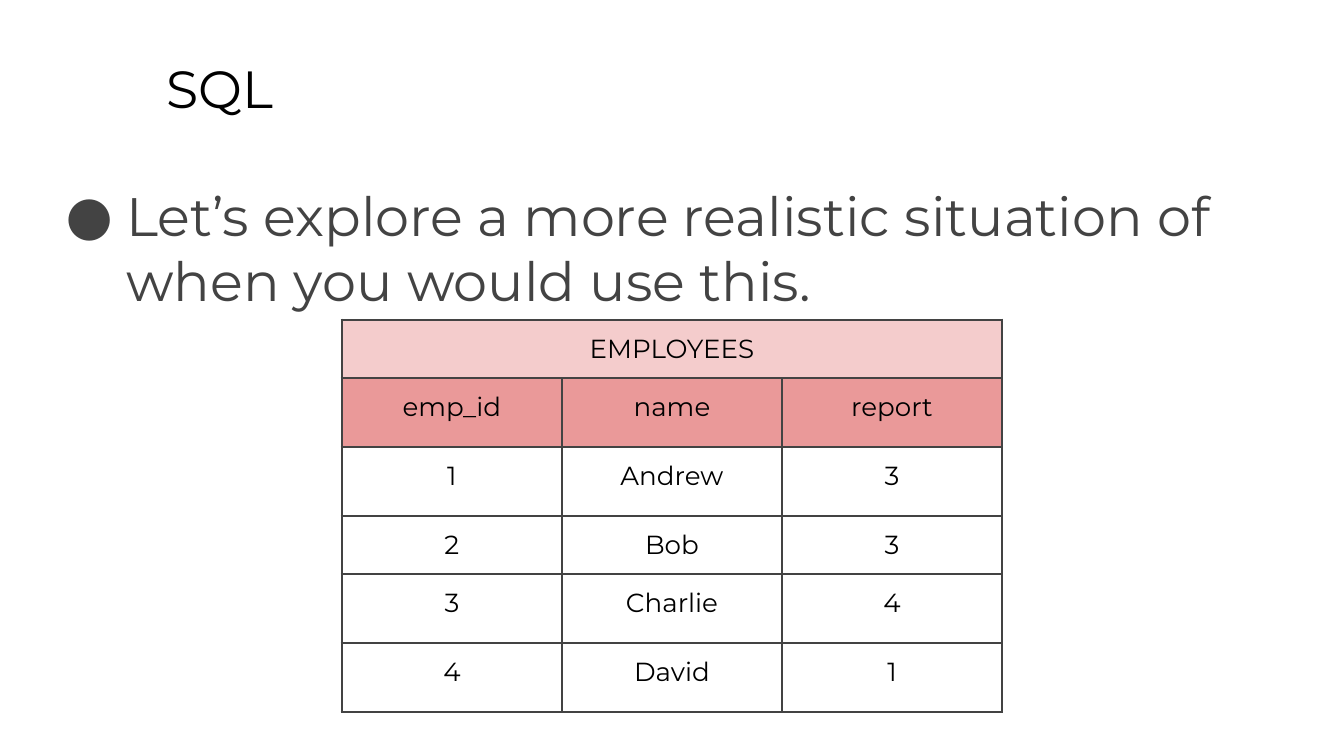
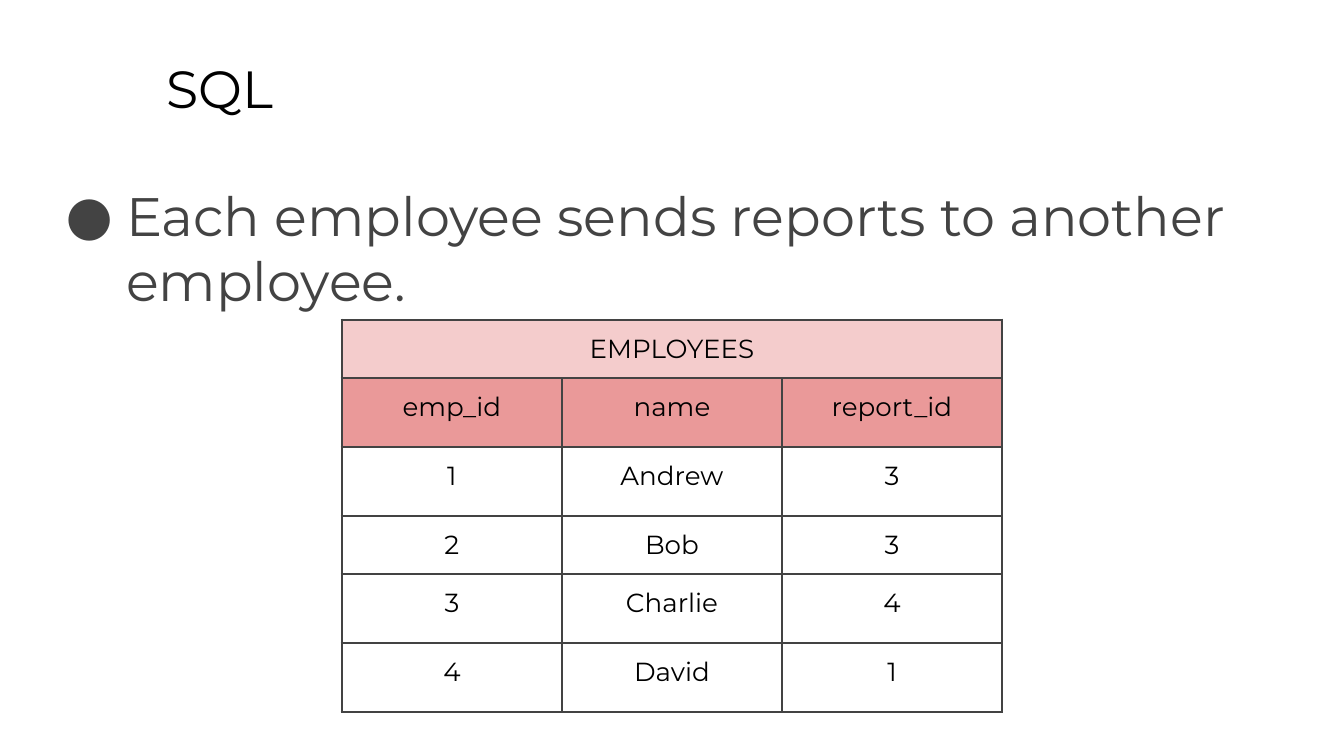
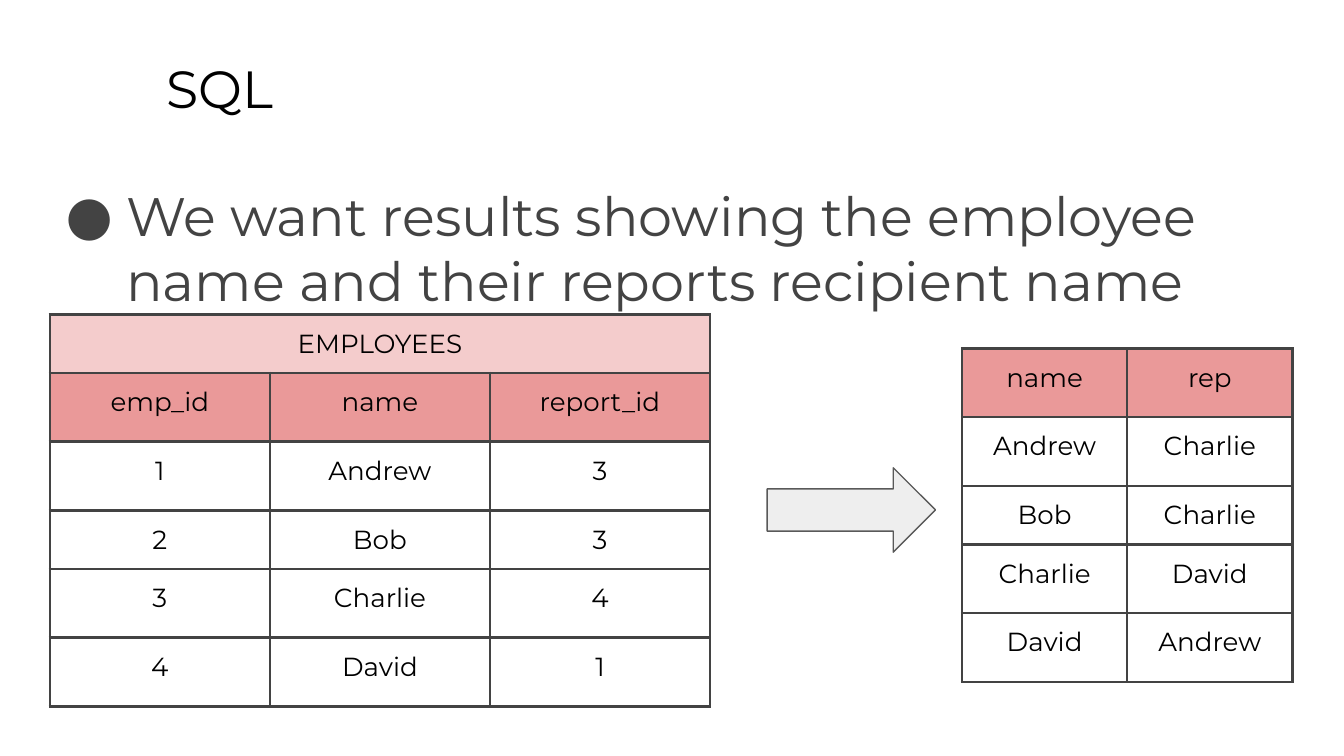
from dataclasses import dataclass

from pptx import Presentation
from pptx.dml.color import RGBColor
from pptx.enum.shapes import MSO_SHAPE
from pptx.enum.text import MSO_ANCHOR, PP_ALIGN
from pptx.oxml.ns import qn
from pptx.util import Pt
from lxml.etree import SubElement


@dataclass(frozen=True)
class Theme:
    """Colours, type sizes and measures that the slides share."""
    font: str = "Montserrat"
    ink: str = "000000"
    body: str = "434343"
    border: str = "434343"
    caption_fill: str = "F4CCCC"
    header_fill: str = "EA9999"
    arrow_fill: str = "EEEEEE"
    arrow_line: str = "595959"
    title_size: float = 28
    body_size: float = 29
    cell_size: float = 14
    inset: float = 7.2
    bullet_indent: float = 36
    bullet_hang: float = 32.4
    border_width: float = 1.5
    arrow_line_width: float = 0.75
    short_row: float = 24.5
    tall_row: float = 36.9


@dataclass(frozen=True)
class Box:
    """A region of the slide in points."""
    left: float
    top: float
    width: float
    height: float = 0

    def emu(self):
        """Return the four lengths as python-pptx expects them."""
        return [Pt(v) for v in (self.left, self.top, self.width, self.height)]


THEME = Theme()
TITLE_BOX = Box(82, 23, 613.5, 45.4)
BODY_BOX = Box(24.5, 90.7, 684, 269.3)
EMPLOYEES_WIDTH = 353.7

PEOPLE = [("1", "Andrew", "3"), ("2", "Bob", "3"), ("3", "Charlie", "4"), ("4", "David", "1")]
RECIPIENTS = [("Andrew", "Charlie"), ("Bob", "Charlie"), ("Charlie", "David"), ("David", "Andrew")]


def apply(target, formats):
    """Set each attribute of the target from a dict of format values."""
    for attribute, value in formats.items():
        setattr(target, attribute, value)


def frame_format():
    """Return the insets and anchor common to text boxes and cells."""
    margins = {f"margin_{side}": Pt(THEME.inset) for side in ("left", "right", "top", "bottom")}
    return {**margins, "vertical_anchor": MSO_ANCHOR.TOP}


def write(paragraph, text, size, colour):
    """Add a run in the theme font."""
    run = paragraph.add_run()
    run.text = text
    apply(run.font, {"name": THEME.font, "size": Pt(size)})
    run.font.color.rgb = RGBColor.from_string(colour)


def add_text(slide, box, text, size, colour):
    """Place a wrapping text box and return its paragraph."""
    frame = slide.shapes.add_textbox(*box.emu()).text_frame
    apply(frame, {"word_wrap": True, **frame_format()})
    write(frame.paragraphs[0], text, size, colour)
    return frame.paragraphs[0]


def add_bullet(paragraph):
    """Give a paragraph a hanging round bullet."""
    properties = paragraph._p.get_or_add_pPr()
    properties.set("marL", str(Pt(THEME.bullet_indent)))
    properties.set("indent", str(-Pt(THEME.bullet_hang)))
    colour = SubElement(properties, qn("a:buClr"))
    SubElement(colour, qn("a:srgbClr"), val=THEME.body)
    SubElement(properties, qn("a:buFont"), typeface=THEME.font)
    SubElement(properties, qn("a:buChar"), char="●")


def add_borders(cell):
    """Draw all four sides of a cell."""
    properties = cell._tc.get_or_add_tcPr()
    for side in ("lnL", "lnR", "lnT", "lnB"):
        line = SubElement(properties, qn(f"a:{side}"), w=str(Pt(THEME.border_width)))
        fill = SubElement(line, qn("a:solidFill"))
        SubElement(fill, qn("a:srgbClr"), val=THEME.border)


def format_cell(cell, text, fill):
    """Write a centred cell with its borders and optional fill."""
    apply(cell, frame_format())
    add_borders(cell)
    if fill:
        cell.fill.solid()
        cell.fill.fore_color.rgb = RGBColor.from_string(fill)
    else:
        cell.fill.background()
    if text:
        paragraph = cell.text_frame.paragraphs[0]
        paragraph.alignment = PP_ALIGN.CENTER
        write(paragraph, text, THEME.cell_size, THEME.ink)


def add_records(slide, box, header, records, caption=None):
    """Place a table of records under a header and an optional merged caption."""
    rows = [(header, THEME.header_fill, THEME.tall_row)]
    for index, record in enumerate(records):
        rows.append((record, None, THEME.short_row if index == 1 else THEME.tall_row))
    if caption:
        captions = (caption,) + ("",) * (len(header) - 1)
        rows.insert(0, (captions, THEME.caption_fill, THEME.short_row))
    total = Box(box.left, box.top, box.width, sum(height for *_, height in rows))
    table = slide.shapes.add_table(len(rows), len(header), *total.emu()).table
    apply(table, {"first_row": False, "horz_banding": False})
    for column in table.columns:
        column.width = Pt(box.width / len(header))
    for row, (texts, fill, height) in zip(table.rows, rows):
        row.height = Pt(height)
        for cell, text in zip(row.cells, texts):
            format_cell(cell, text, fill)
    if caption:
        table.cell(0, 0).merge(table.cell(0, len(header) - 1))


def add_employees(slide, left, top, report_header):
    """Place the employees table with the given name for its last column."""
    box = Box(left, top, EMPLOYEES_WIDTH)
    add_records(slide, box, ("emp_id", "name", report_header), PEOPLE, "EMPLOYEES")


def add_result_arrow(slide, box):
    """Place the arrow that leads to the result table."""
    arrow = slide.shapes.add_shape(MSO_SHAPE.RIGHT_ARROW, *box.emu())
    arrow.shadow.inherit = False
    arrow.fill.solid()
    arrow.fill.fore_color.rgb = RGBColor.from_string(THEME.arrow_fill)
    arrow.line.color.rgb = RGBColor.from_string(THEME.arrow_line)
    arrow.line.width = Pt(THEME.arrow_line_width)


def add_topic_slide(deck, statement):
    """Add a slide with the shared title and one bulleted statement."""
    slide = deck.slides.add_slide(deck.slide_layouts[6])
    add_text(slide, TITLE_BOX, "SQL", THEME.title_size, THEME.ink)
    add_bullet(add_text(slide, BODY_BOX, statement, THEME.body_size, THEME.body))
    return slide


def add_employees_slide(deck, statement, report_header):
    """Add a slide with the employees table centred under its statement."""
    slide = add_topic_slide(deck, statement)
    add_employees(slide, (720 - EMPLOYEES_WIDTH) / 2, 171.4, report_header)


def add_result_slide(deck, statement):
    """Add a slide that leads from the employees table to the wanted result."""
    slide = add_topic_slide(deck, statement)
    add_employees(slide, 26.7, 168.5, "report_id")
    add_records(slide, Box(515.4, 186.6, 177), ("name", "rep"), RECIPIENTS)
    add_result_arrow(slide, Box(411, 250.6, 90.2, 45.2))


def main():
    """Build and save the presentation."""
    deck = Presentation()
    apply(deck, {"slide_width": Pt(720), "slide_height": Pt(405)})
    add_employees_slide(
        deck, "Let’s explore a more realistic situation of when you would use this.", "report")
    add_employees_slide(deck, "Each employee sends reports to another employee.", "report_id")
    add_result_slide(
        deck, "We want results showing the employee name and their reports recipient name")
    deck.save("out.pptx")


main()
